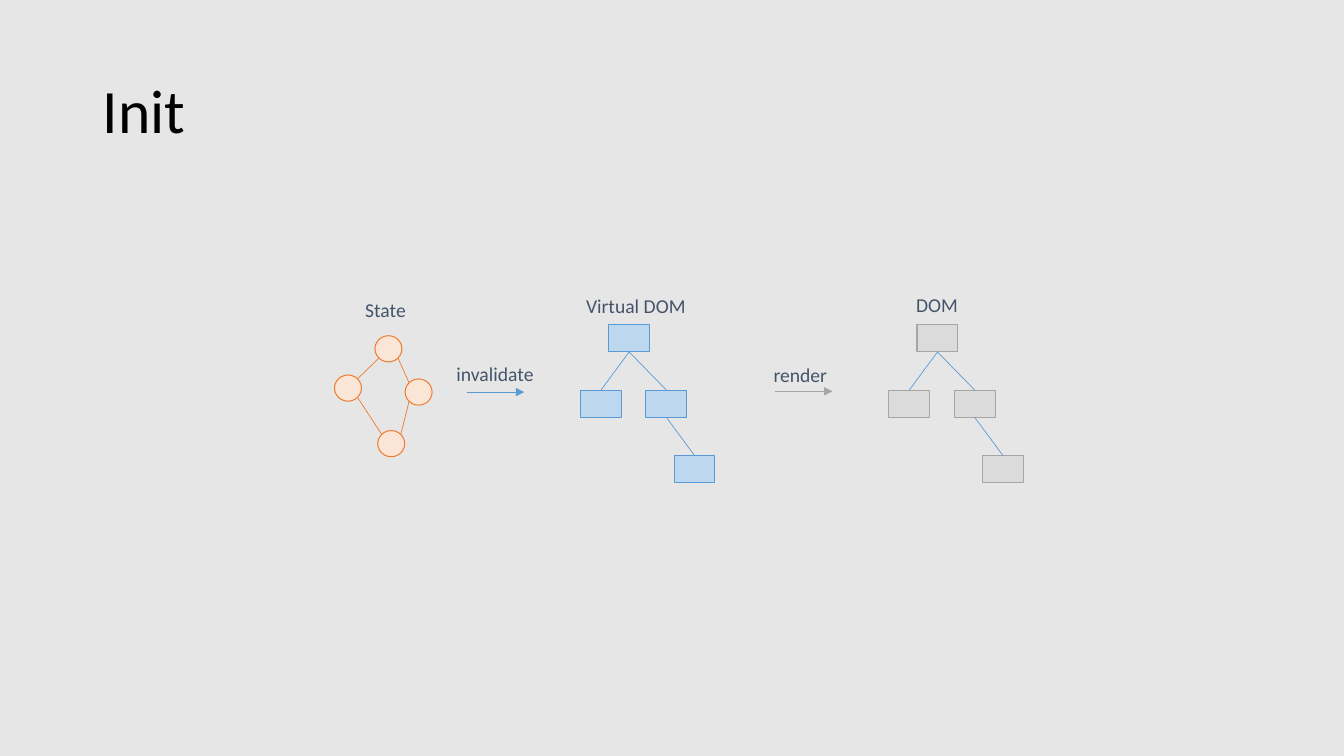
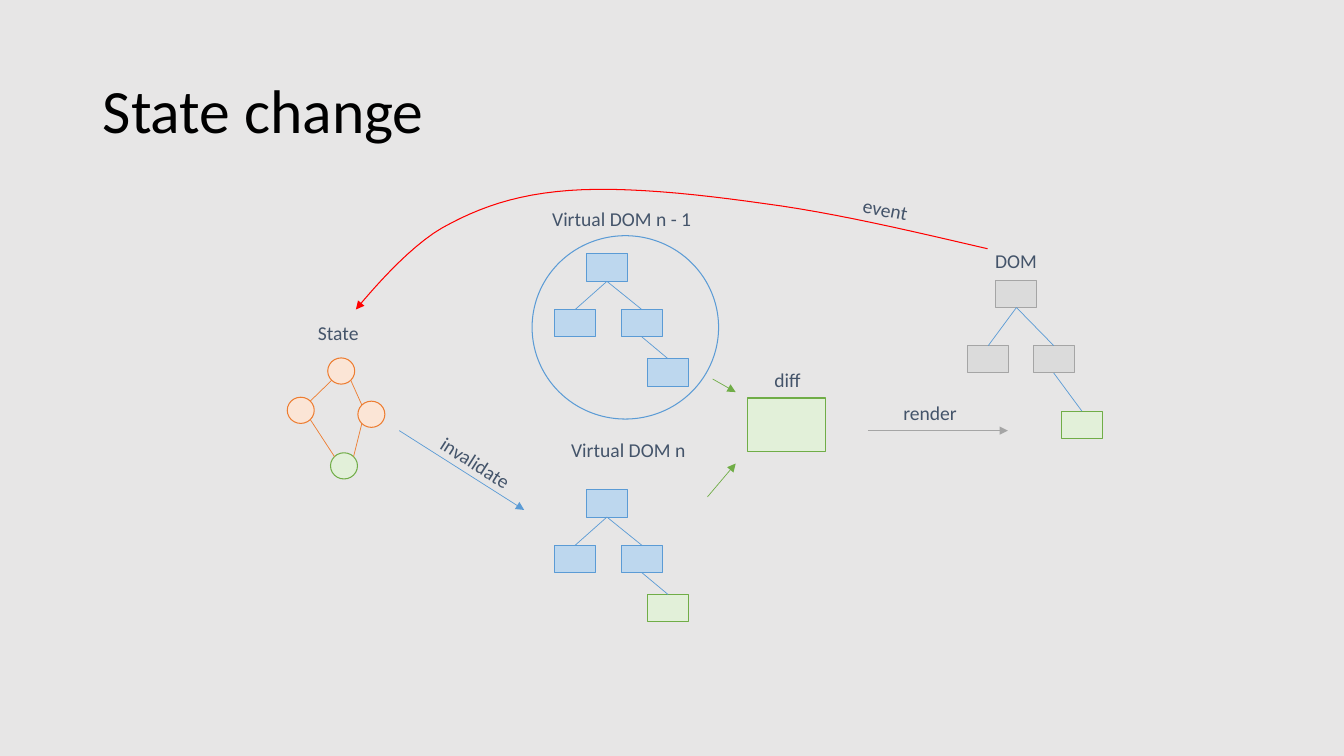
from pptx import Presentation
from pptx.dml.color import RGBColor
from pptx.enum.shapes import MSO_CONNECTOR as Connector, MSO_SHAPE as Shape
from pptx.enum.text import MSO_ANCHOR as Anchor, PP_ALIGN as Align
from pptx.oxml.ns import qn
from pptx.util import Cm, Pt
from lxml.etree import SubElement

COLORS = {
    "background": "E7E6E6",
    "title": "000000",
    "label": "44546A",
    "orange": "ED7D31",
    "orange_fill": "FBE5D6",
    "blue": "5B9BD5",
    "blue_fill": "BDD7EE",
    "gray": "A5A5A5",
    "gray_fill": "DBDBDB",
    "green": "70AD47",
    "green_fill": "E2F0D9",
    "red": "FF0000",
}
FONT = "Calibri"
NODE_SIZE = (1.03, 0.69)
CIRCLE_SIZE = (0.68, 0.66)
STATE_OFFSETS = [(1.02, 0), (0, 0.99), (1.78, 1.09), (1.09, 2.39)]
WIDE_TREE = [(0, 0), (-0.71, 1.65), (0.94, 1.65), (1.65, 3.3)]
COMPACT_TREE = [(0, 0), (-0.8, 1.4), (0.88, 1.4), (1.54, 2.64)]
EVENT_CURVE = [
    (24.89, 6.27),
    (22.96, 5.82), (21.01, 5.36), (19.25, 5.13),
    (17.5, 4.88), (15.7, 4.7), (14.35, 4.8),
    (13, 4.9), (12.07, 5.23), (11.15, 5.74),
    (10.26, 6.25), (9.27, 7.44), (8.97, 7.8),
]


def color(name):
    return RGBColor.from_string(COLORS[name])


def bezier(points, steps=12):
    curve = [points[0]]
    for start in range(0, len(points) - 1, 3):
        corners = points[start:start + 4]
        for step in range(1, steps + 1):
            t = step / steps
            weights = ((1 - t) ** 3, 3 * t * (1 - t) ** 2, 3 * t ** 2 * (1 - t), t ** 3)
            curve.append(tuple(
                sum(weight * corner[axis] for weight, corner in zip(weights, corners))
                for axis in (0, 1)
            ))
    return curve


class Deck:
    def __init__(self):
        self.presentation = Presentation()
        self.presentation.slide_width = Cm(33.87)
        self.presentation.slide_height = Cm(19.05)
        self.slide = None

    def add_slide(self, title):
        self.slide = self.presentation.slides.add_slide(self.presentation.slide_layouts[6])
        fill = self.slide.background.fill
        fill.solid()
        fill.fore_color.rgb = color("background")
        frame = self.text(title, 2.34, 1.02, 29.21, 3.68, 44, "title")
        frame.word_wrap = True
        frame.vertical_anchor = Anchor.MIDDLE
        frame.paragraphs[0].line_spacing = 0.9

    def text(self, text, left, top, width, height, size, color_name, rotation=0):
        box = self.slide.shapes.add_textbox(Cm(left), Cm(top), Cm(width), Cm(height))
        box.rotation = rotation
        frame = box.text_frame
        frame.text = text
        font = frame.paragraphs[0].runs[0].font
        font.name = FONT
        font.size = Pt(size)
        font.color.rgb = color(color_name)
        return frame

    def label(self, text, left, top, width, rotation=0):
        frame = self.text(text, left, top, width, 0.86, 14, "label", rotation)
        frame.word_wrap = False
        frame.paragraphs[0].alignment = Align.CENTER

    def outline(self, shape, color_name, width, arrow=False):
        shape.line.color.rgb = color(color_name)
        shape.line.width = Pt(width)
        if arrow:
            SubElement(shape.element.spPr.get_or_add_ln(), qn("a:tailEnd"), type="triangle")

    def box(self, kind, position, size, color_name, filled=True):
        shape = self.slide.shapes.add_shape(kind, *map(Cm, position + size))
        shape.shadow.inherit = False
        if filled:
            shape.fill.solid()
            shape.fill.fore_color.rgb = color(color_name + "_fill")
        else:
            shape.fill.background()
        self.outline(shape, color_name, 0.75)
        return shape

    def line(self, start, end, color_name, arrow=False):
        connector = self.slide.shapes.add_connector(Connector.STRAIGHT, *map(Cm, start + end))
        self.outline(connector, color_name, 0.5, arrow)
        SubElement(connector.element.spPr, qn("a:effectLst"))
        return connector

    def curve_arrow(self, points, color_name):
        first, *rest = [(Cm(x), Cm(y)) for x, y in bezier(points)]
        builder = self.slide.shapes.build_freeform(*first)
        builder.add_line_segments(rest, close=False)
        shape = builder.convert_to_shape()
        shape.shadow.inherit = False
        shape.fill.background()
        self.outline(shape, color_name, 0.75, arrow=True)

    def state(self, left, top, last_color="orange"):
        circles = [(left + x, top + y) for x, y in STATE_OFFSETS]
        for position, name in zip(circles, ["orange"] * 3 + [last_color]):
            self.box(Shape.OVAL, position, CIRCLE_SIZE, name)

        def rim(index, x_side, y_side):
            return tuple(
                edge + size / 2 * (1 + side * 0.5 ** 0.5)
                for edge, size, side in zip(circles[index], CIRCLE_SIZE, (x_side, y_side))
            )

        for first, second, x_side, y_side in [(0, 1, -1, 1), (0, 2, 1, 1), (3, 2, 1, -1), (1, 3, 1, 1)]:
            if (first, second) == (3, 2):
                end = rim(second, -1, 1)
            else:
                end = rim(second, -x_side, -y_side)
            self.line(rim(first, x_side, y_side), end, "orange")
        self.label("State", left + 0.51, top - 1.07, 1.55)

    def tree(self, left, top, offsets, color_name, leaf_color=None):
        names = [color_name] * 3 + [leaf_color or color_name]
        nodes = [
            self.box(Shape.RECTANGLE, (left + x, top + y), NODE_SIZE, name)
            for (x, y), name in zip(offsets, names)
        ]
        for parent, child in [(0, 1), (0, 2), (2, 3)]:
            connector = self.line((left, top), (left, top), "blue")
            connector.begin_connect(nodes[parent], 2)
            connector.end_connect(nodes[child], 0)


def build_init(deck):
    deck.add_slide("Init")
    deck.state(8.43, 8.46)
    deck.line((11.76, 9.88), (13.21, 9.88), "blue", arrow=True)
    deck.label("invalidate", 11.23, 8.99, 2.49)
    deck.tree(15.34, 8.18, WIDE_TREE, "blue")
    deck.label("Virtual DOM", 14.5, 7.29, 3.05)
    deck.line((19.53, 9.86), (20.98, 9.86), "gray", arrow=True)
    deck.label("render", 19.23, 9.02, 1.88)
    deck.tree(23.11, 8.18, WIDE_TREE, "gray")
    deck.label("DOM", 22.83, 7.26, 1.57)


def build_state_change(deck):
    deck.add_slide("State change")
    deck.state(7.24, 9.02, "green")
    deck.line((10.06, 10.85), (13.21, 12.85), "blue", arrow=True)
    deck.label("invalidate", 10.74, 11.23, 2.49, 32.5)
    deck.label("Virtual DOM n", 14.12, 10.92, 3.43)
    deck.line((21.87, 10.85), (25.4, 10.85), "gray", arrow=True)
    deck.label("render", 22.5, 9.98, 1.88)
    deck.tree(25.1, 7.06, WIDE_TREE, "gray", "green")
    deck.label("DOM", 24.82, 6.15, 1.57)
    deck.tree(14.78, 6.4, COMPACT_TREE, "blue")
    deck.label("Virtual DOM n - 1", 13.64, 5.08, 4.06)
    deck.box(Shape.OVAL, (13.41, 5.94), (4.7, 4.62), "blue", filled=False)
    deck.tree(14.78, 12.34, COMPACT_TREE, "blue", "green")
    deck.box(Shape.RECTANGLE, (18.85, 10.03), (1.96, 1.35), "green")
    deck.line((17.96, 9.55), (18.54, 9.88), "green", arrow=True)
    deck.line((17.83, 12.52), (18.54, 11.68), "green", arrow=True)
    deck.label("diff", 19.25, 9.14, 1.19)
    deck.curve_arrow(EVENT_CURVE, "red")
    deck.label("event", 21.49, 4.85, 1.65, 11.2)


def main():
    deck = Deck()
    build_init(deck)
    build_state_change(deck)
    deck.presentation.save("out.pptx")


if __name__ == "__main__":
    main()
